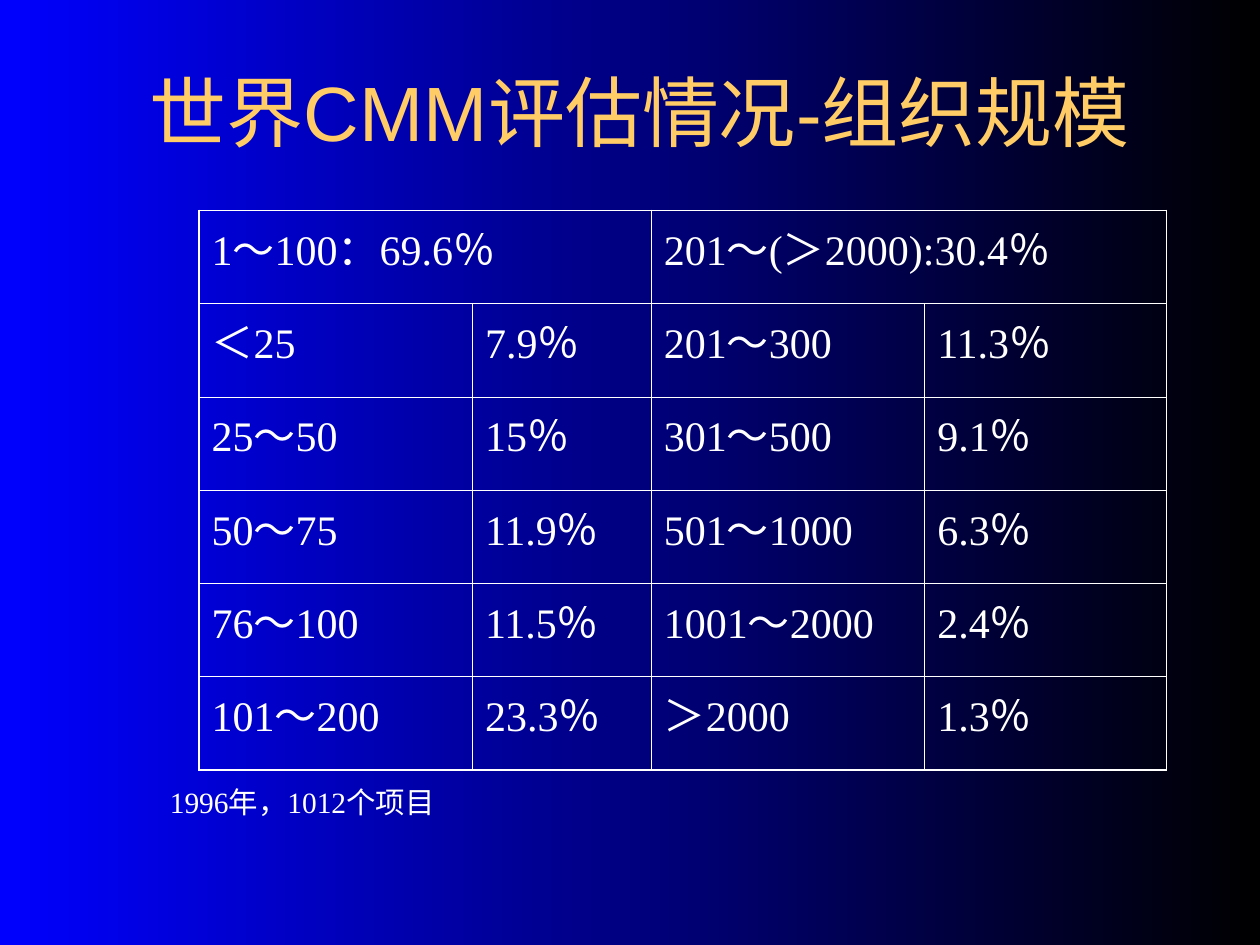
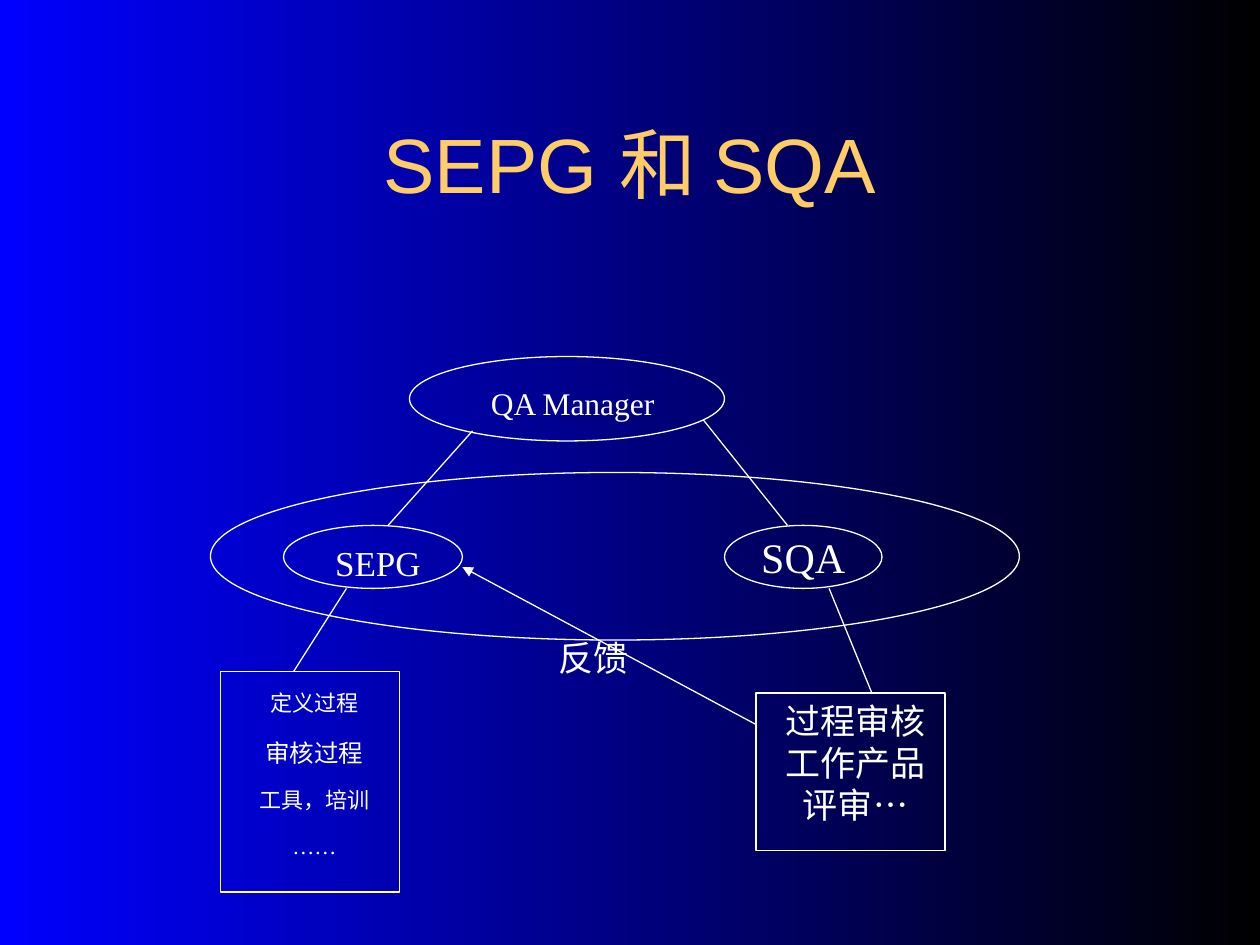
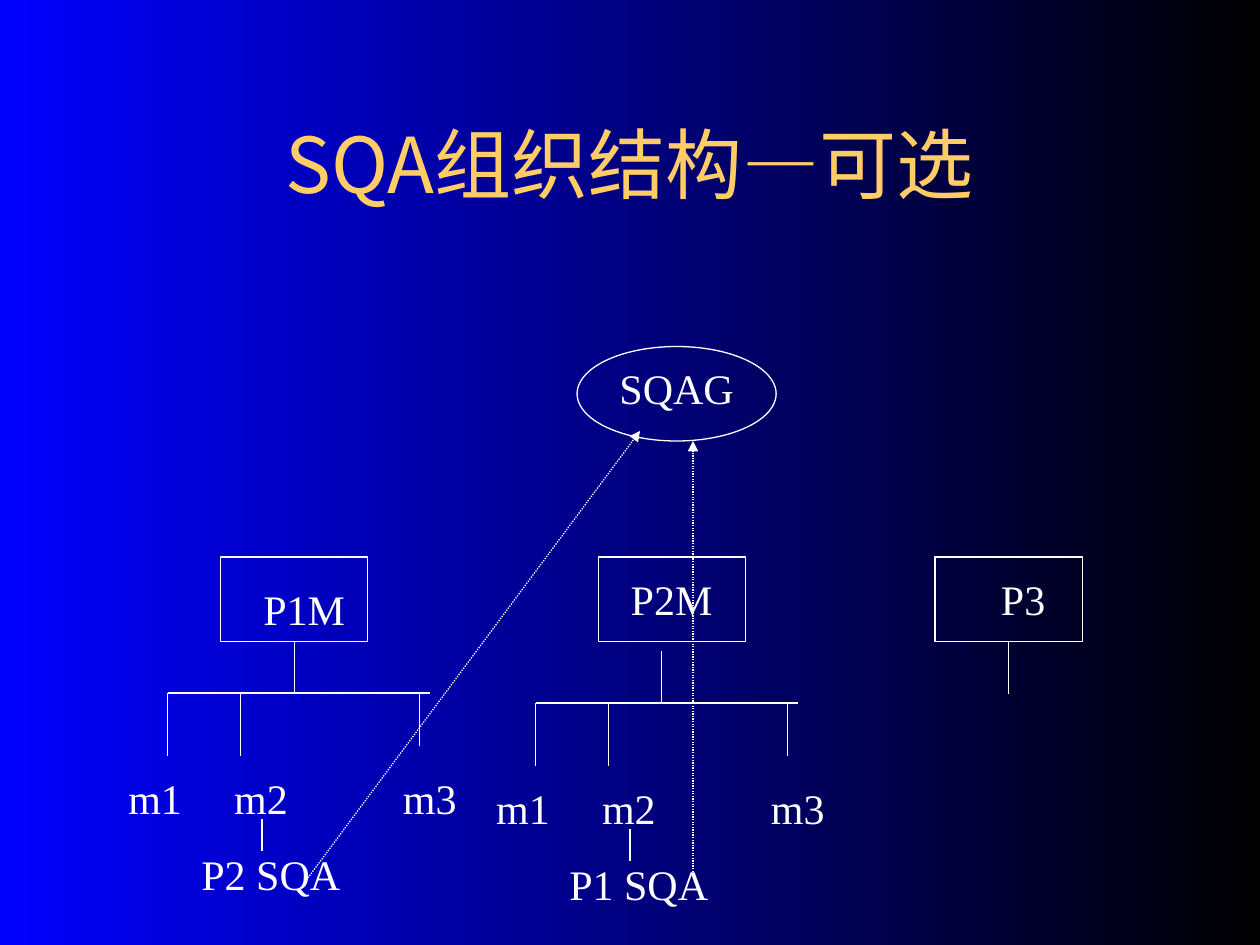
import pptx
import pptx.dml.color
import pptx.enum.dml
import pptx.enum.shapes
import pptx.enum.text
import pptx.oxml
import pptx.oxml.ns
import pptx.util
from pptx.util import Inches, Pt

WHITE, GOLD, BLUE, BLACK = "FFFFFF", "FFCC66", "0000FF", "000000"
SERIF, SANS, CJK = "Times New Roman", "Arial", "Noto Sans CJK SC"
CENTER = pptx.enum.text.PP_ALIGN.CENTER
OVAL = pptx.enum.shapes.MSO_SHAPE.OVAL
RECTANGLE = pptx.enum.shapes.MSO_SHAPE.RECTANGLE

# Slide 1: organisation sizes
SIZE_GROUPS = ["1～100：69.6％", "201～(＞2000):30.4％"]
SIZE_SHARES = [
    ("＜25", "7.9％", "201～300", "11.3％"),
    ("25～50", "15％", "301～500", "9.1％"),
    ("50～75", "11.9％", "501～1000", "6.3％"),
    ("76～100", "11.5％", "1001～2000", "2.4％"),
    ("101～200", "23.3％", "＞2000", "1.3％"),
]
SIZE_COLUMNS = [2.17, 1.42, 2.17, 1.92]
SIZE_ROW = 0.74

# Slide 2: outlines, links (x1, y1, x2, y2) and labels (text, box, size)
QA_OUTLINES = [
    (OVAL, (3.25, 2.83, 2.5, 0.67)),
    (OVAL, (2.25, 4.17, 1.42, 0.5)),
    (RECTANGLE, (6, 5.5, 1.5, 1.25)),
    (RECTANGLE, (1.75, 5.33, 1.42, 1.75)),
    (OVAL, (1.67, 3.75, 6.42, 1.33)),
]
SQA_OVAL = (5.75, 4.17, 1.25, 0.5)
QA_LINKS = [
    (3.75, 3.42, 3.08, 4.17),
    (2.75, 4.67, 2.33, 5.33),
    (5.58, 3.33, 6.25, 4.17),
    (6.58, 4.67, 6.92, 5.5),
]
FEEDBACK = (6, 5.75, 3.67, 4.5)
QA_LABELS = [
    ("QA Manager", (3.67, 3, 1.75, 0.4), 18),
    ("SEPG", (2.5, 4.25, 1, 0.44), 20),
    ("过程审核工作产品评审…", (6, 5.5, 1.58, 1.1), 20),
    ("反馈", (4.17, 5, 1.08, 0.44), 20),
]
SEPG_DUTIES = [("定义过程", 12.6, 0), ("审核过程", 14, 12.5),
               ("工具，培训", 12.6, 11.2), ("……", 12.6, 11.2)]

# Slide 3: projects (label, box left, label box) and their member trees
PROJECTS = [
    ("P1M", 1.75, (1.83, 4.58, 1.17, 0.5)),
    ("P2M", 4.75, (4.83, 4.5, 1, 0.5)),
    ("P3", 7.42, (7.58, 4.5, 1.08, 0.5)),
]
PROJECT_TOP, PROJECT_WIDTH, PROJECT_HEIGHT = 4.42, 1.17, 0.67
STEM = 0.42
MEMBERS = "m1\tm2\tm3"
MEMBER_TABS = [0.84, 2.18]
TREES = [("P2 SQA", 1.33, 5.5), ("P1 SQA", 4.25, 5.58)]  # reviewer, left, bar height
BRANCHES = [(0, 0.5), (0.58, 0.5), (2, 0.42)]  # offset along the bar, drop
REPORTS = [(2.42, 7, 5.08, 3.42), (5.5, 6.92, 5.5, 3.5)]


def rgb(hex_colour):
    return pptx.dml.color.RGBColor.from_string(hex_colour)


def inches(values):
    return [Inches(value) for value in values]


def style(paragraph, size, colour=WHITE, font=SERIF, align=None, before=0):
    paragraph.alignment = align
    paragraph.space_before = Pt(before)
    paragraph.font.size = Pt(size)
    paragraph.font.name = font
    paragraph.font.color.rgb = rgb(colour)
    defaults = paragraph._p.pPr.find(pptx.oxml.ns.qn("a:defRPr"))
    east_asian = defaults.makeelement(pptx.oxml.ns.qn("a:ea"), {"typeface": CJK})
    defaults.find(pptx.oxml.ns.qn("a:latin")).addnext(east_asian)


def add_slide(prs, title, top=0.67, left=0.75, font=SANS):
    slide = prs.slides.add_slide(prs.slide_layouts.get_by_name("Title Only"))
    heading = slide.shapes.title
    heading.left, heading.top, heading.width, heading.height = inches((left, top, 8.5, 1.25))
    frame = heading.text_frame
    frame.text = title
    frame.auto_size = pptx.enum.text.MSO_AUTO_SIZE.NONE
    frame.vertical_anchor = pptx.enum.text.MSO_ANCHOR.MIDDLE
    style(frame.paragraphs[0], 44, GOLD, font, CENTER)
    return slide


def add_label(slide, text, box, size, align=CENTER):
    frame = slide.shapes.add_textbox(*inches(box)).text_frame
    frame.word_wrap = True
    frame.text = text
    style(frame.paragraphs[0], size, align=align)
    return frame


def add_outline(slide, kind, box):
    outline = slide.shapes.add_shape(kind, *inches(box))
    outline.shadow.inherit = False
    outline.fill.background()
    outline.line.color.rgb = rgb(WHITE)
    outline.line.width = Pt(0.75)
    return outline


def add_link(slide, ends, arrow=False, dotted=False):
    link = slide.shapes.add_connector(
        pptx.enum.shapes.MSO_CONNECTOR.STRAIGHT, *inches(ends))
    link.line.color.rgb = rgb(WHITE)
    link.line.width = Pt(0.75)
    if dotted:
        link.line.dash_style = pptx.enum.dml.MSO_LINE.ROUND_DOT
    properties = link._element.spPr
    if arrow:
        properties.find(pptx.oxml.ns.qn("a:ln")).append(pptx.oxml.parse_xml(
            f'<a:tailEnd {pptx.oxml.ns.nsdecls("a")} type="triangle"/>'))
    properties.append(properties.makeelement(pptx.oxml.ns.qn("a:effectLst"), {}))
    return link


def set_borders(cell, outer_sides):
    """Draw all four borders, heavier on the sides at the table's edge."""
    for position, side in enumerate("LRTB"):
        width = Pt(1.08 if side in outer_sides else 0.45)
        cell._tc.get_or_add_tcPr().insert(position, pptx.oxml.parse_xml(
            f'<a:ln{side} {pptx.oxml.ns.nsdecls("a")} w="{width}"><a:solidFill>'
            f'<a:srgbClr val="{WHITE}"/></a:solidFill></a:ln{side}>'))


def build_sizes(prs):
    slide = add_slide(prs, "世界CMM评估情况-组织规模", top=0.25, left=0.83)
    rows = [(SIZE_GROUPS[0], "", SIZE_GROUPS[1], "")] + SIZE_SHARES
    last_row, last_column = len(rows) - 1, len(SIZE_COLUMNS) - 1
    table = slide.shapes.add_table(
        len(rows), len(SIZE_COLUMNS),
        *inches((1.58, 1.67, sum(SIZE_COLUMNS), SIZE_ROW * len(rows)))).table
    table.first_row = table.horz_banding = False
    for column, width in zip(table.columns, SIZE_COLUMNS):
        column.width = Inches(width)
    for start in (0, 2):
        table.cell(0, start).merge(table.cell(0, start + 1))
    for r, row in enumerate(rows):
        for c, text in enumerate(row):
            cell = table.cell(r, c)
            if cell.is_spanned:
                continue
            cell.text = text
            style(cell.text_frame.paragraphs[0], 24)
            cell.fill.background()
            at_edge = {"L": c == 0, "R": c + cell.span_width - 1 == last_column,
                       "T": r == 0, "B": r == last_row}
            set_borders(cell, [side for side in at_edge if at_edge[side]])
    add_label(slide, "1996年，1012个项目", (1.25, 6.17, 8.5, 1.08), 16.8, align=None)


def build_roles(prs):
    slide = add_slide(prs, "SEPG 和 SQA")
    for kind, box in QA_OUTLINES:
        add_outline(slide, kind, box)
    sqa = add_outline(slide, OVAL, SQA_OVAL).text_frame
    sqa.word_wrap = False
    sqa.text = "SQA"
    style(sqa.paragraphs[0], 24, align=CENTER)
    for ends in QA_LINKS:
        add_link(slide, ends)
    add_link(slide, FEEDBACK, arrow=True)
    for text, box, size in QA_LABELS:
        add_label(slide, text, box, size)
    (first, size, _), *others = SEPG_DUTIES
    duties = add_label(slide, first, (0.83, 5.42, 3.33, 1.42), size)
    for text, size, before in others:
        duty = duties.add_paragraph()
        duty.text = text
        style(duty, size, align=CENTER, before=before)


def add_tree(slide, reviewer, left, bar):
    add_link(slide, (left, bar, left + 2.08, bar))
    for offset, drop in BRANCHES:
        add_link(slide, (left + offset, bar, left + offset, bar + drop))
    add_link(slide, (left + 0.75, bar + 1, left + 0.75, bar + 1.25))
    box = (left - 0.41, bar + 0.58, 3.33, 1.11)
    frame = slide.shapes.add_textbox(*inches(box)).text_frame
    frame.word_wrap = True
    frame.text = MEMBERS
    members = frame.paragraphs[0]
    stops = "".join(f'<a:tab pos="{Inches(tab)}" algn="l"/>' for tab in MEMBER_TABS)
    members._p.get_or_add_pPr().append(pptx.oxml.parse_xml(
        f'<a:tabLst {pptx.oxml.ns.nsdecls("a")}>{stops}</a:tabLst>'))
    style(members, 24)
    review = frame.add_paragraph()
    review.text = reviewer
    review._p.get_or_add_pPr().set("marL", str(Inches(0.58)))
    style(review, 24, before=15)


def build_organisation(prs):
    slide = add_slide(prs, "SQA组织结构—可选", font=CJK)
    add_outline(slide, OVAL, (4.58, 2.75, 1.58, 0.75))
    add_label(slide, "SQAG", (4.58, 2.83, 1.58, 0.5), 24)
    for name, left, label_box in PROJECTS:
        project = add_outline(slide, RECTANGLE,
                              (left, PROJECT_TOP, PROJECT_WIDTH, PROJECT_HEIGHT))
        add_label(slide, name, label_box, 24)
        if name == "P2M":
            add_link(slide, (5.25, 5.17, 5.25, 5.58))
        else:
            middle, bottom = left + PROJECT_WIDTH / 2, PROJECT_TOP + PROJECT_HEIGHT
            stem = add_link(slide, (middle, bottom, middle, bottom + STEM))
            stem.begin_connect(project, 2)
    for tree in TREES:
        add_tree(slide, *tree)
    for ends in REPORTS:
        add_link(slide, ends, arrow=True, dotted=True)


def main():
    prs = pptx.Presentation()
    prs.slide_width, prs.slide_height = Inches(10), Inches(7.5)
    backdrop = prs.slide_master.background.fill
    backdrop.gradient()
    backdrop.gradient_angle = 180
    for stop, colour in zip(backdrop.gradient_stops, (BLACK, BLUE)):
        stop.color.rgb = rgb(colour)
    build_sizes(prs)
    build_roles(prs)
    build_organisation(prs)
    prs.save("out.pptx")


if __name__ == "__main__":
    main()
